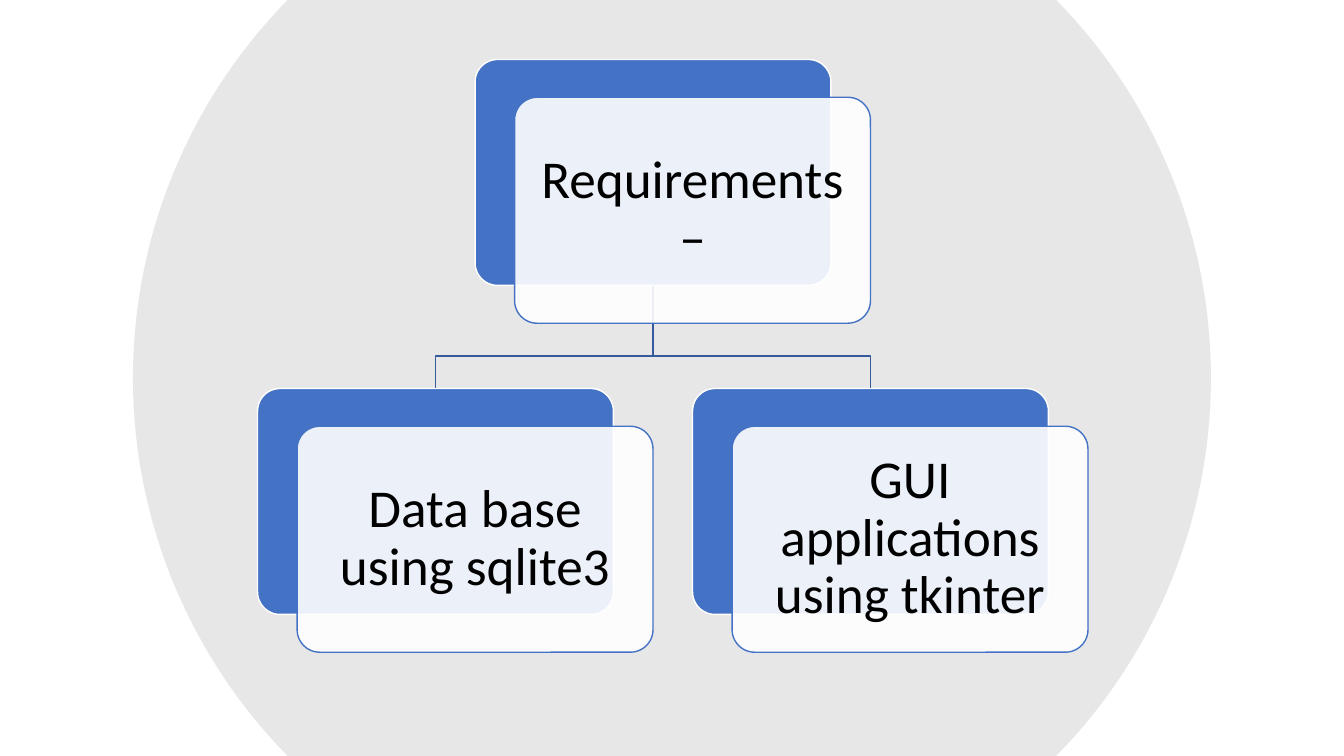
import math

from lxml import etree
from pptx import Presentation
from pptx.dml.color import RGBColor
from pptx.enum import shapes, text
from pptx.oxml.ns import qn
from pptx.util import Pt

BLUE = RGBColor(0x44, 0x72, 0xC4)
DARK_BLUE = RGBColor(0x36, 0x5B, 0x9D)
GRAY = RGBColor(0xD9, 0xD9, 0xD9)
WHITE = RGBColor(0xFF, 0xFF, 0xFF)
BLACK = RGBColor(0, 0, 0)

SLIDE_WIDTH, SLIDE_HEIGHT = 960, 540
CARD_WIDTH, CARD_HEIGHT = 254.2, 161.4
SHIFT_X, SHIFT_Y = 28.25, 27
ROOT_TOP, CHILD_TOP = 42.5, 277.5
BEND_Y = 254.2


class HierarchySlide:
    """Holds the style and the current slide."""

    font_name = "Calibri"
    font_size = 38

    def __init__(self, slide):
        self.slide = slide

    def fill(self, shape, color, opacity=100):
        shape.fill.solid()
        shape.fill.fore_color.rgb = color
        if opacity < 100:
            color_element = shape.fill._xPr.find(qn("a:solidFill"))[0]
            alpha = etree.SubElement(color_element, qn("a:alpha"))
            alpha.set("val", str(opacity * 1000))

    def outline(self, shape, color):
        shape.line.color.rgb = color
        shape.line.width = Pt(1)

    def freeform(self, points, close):
        points = [(Pt(x), Pt(y)) for x, y in points]
        builder = self.slide.shapes.build_freeform(*points[0])
        builder.add_line_segments(points[1:], close=close)
        shape = builder.convert_to_shape()
        shape.shadow.inherit = False
        return shape

    def cropped_circle(self, center_x, center_y, radius, color, opacity):
        limit = math.asin(center_y / radius)
        steps = 60
        angles = [limit * (2 * step / steps - 1) for step in range(steps + 1)]
        angles += [angle + math.pi for angle in angles]
        points = [(center_x + radius * math.cos(angle),
                   center_y + radius * math.sin(angle)) for angle in angles]
        shape = self.freeform(points, close=True)
        self.fill(shape, color, opacity)
        shape.line.fill.background()

    def branch(self, start_x, start_y, end_x, end_y):
        points = [(start_x, start_y), (start_x, BEND_Y), (end_x, BEND_Y), (end_x, end_y)]
        shape = self.freeform(points, close=False)
        shape.fill.background()
        self.outline(shape, DARK_BLUE)

    def card(self, left, top, fill_color, line_color, opacity=100):
        shape = self.slide.shapes.add_shape(
            shapes.MSO_SHAPE.ROUNDED_RECTANGLE,
            Pt(left), Pt(top), Pt(CARD_WIDTH), Pt(CARD_HEIGHT))
        shape.adjustments[0] = 0.1
        shape.shadow.inherit = False
        self.fill(shape, fill_color, opacity)
        self.outline(shape, line_color)
        return shape

    def node(self, left, top, label):
        self.card(left, top, BLUE, WHITE)
        front = self.card(left + SHIFT_X, top + SHIFT_Y, WHITE, BLUE, opacity=90)
        frame = front.text_frame
        frame.word_wrap = True
        frame.vertical_anchor = text.MSO_ANCHOR.MIDDLE
        frame.margin_left = frame.margin_right = Pt(11.5)
        frame.margin_top = frame.margin_bottom = Pt(11.5)
        paragraph = frame.paragraphs[0]
        paragraph.text = label
        paragraph.alignment = text.PP_ALIGN.CENTER
        paragraph.line_spacing = 0.9
        paragraph.font.name = self.font_name
        paragraph.font.size = Pt(self.font_size)
        paragraph.font.color.rgb = BLACK


presentation = Presentation()
presentation.slide_width = Pt(SLIDE_WIDTH)
presentation.slide_height = Pt(SLIDE_HEIGHT)
blank_layout = presentation.slide_layouts[6]
page = HierarchySlide(presentation.slides.add_slide(blank_layout))

# Background circle, cut off at the top and bottom edges
page.cropped_circle(SLIDE_WIDTH / 2, SLIDE_HEIGHT / 2, 385, GRAY, opacity=62)

# Positions: children one card and two shifts apart, root centred above
children = ["Data base using sqlite3", "GUI applications using tkinter"]
pitch = CARD_WIDTH + 2 * SHIFT_X
child_lefts = [184 + index * pitch for index in range(len(children))]
root_left = sum(child_lefts) / len(child_lefts)

# Branches behind the cards
for child_left in child_lefts:
    page.branch(root_left + CARD_WIDTH / 2, ROOT_TOP + CARD_HEIGHT,
                child_left + CARD_WIDTH / 2, CHILD_TOP)

# Cards
page.node(root_left, ROOT_TOP, "Requirements –")
for child_left, label in zip(child_lefts, children):
    page.node(child_left, CHILD_TOP, label)

presentation.save("out.pptx")
